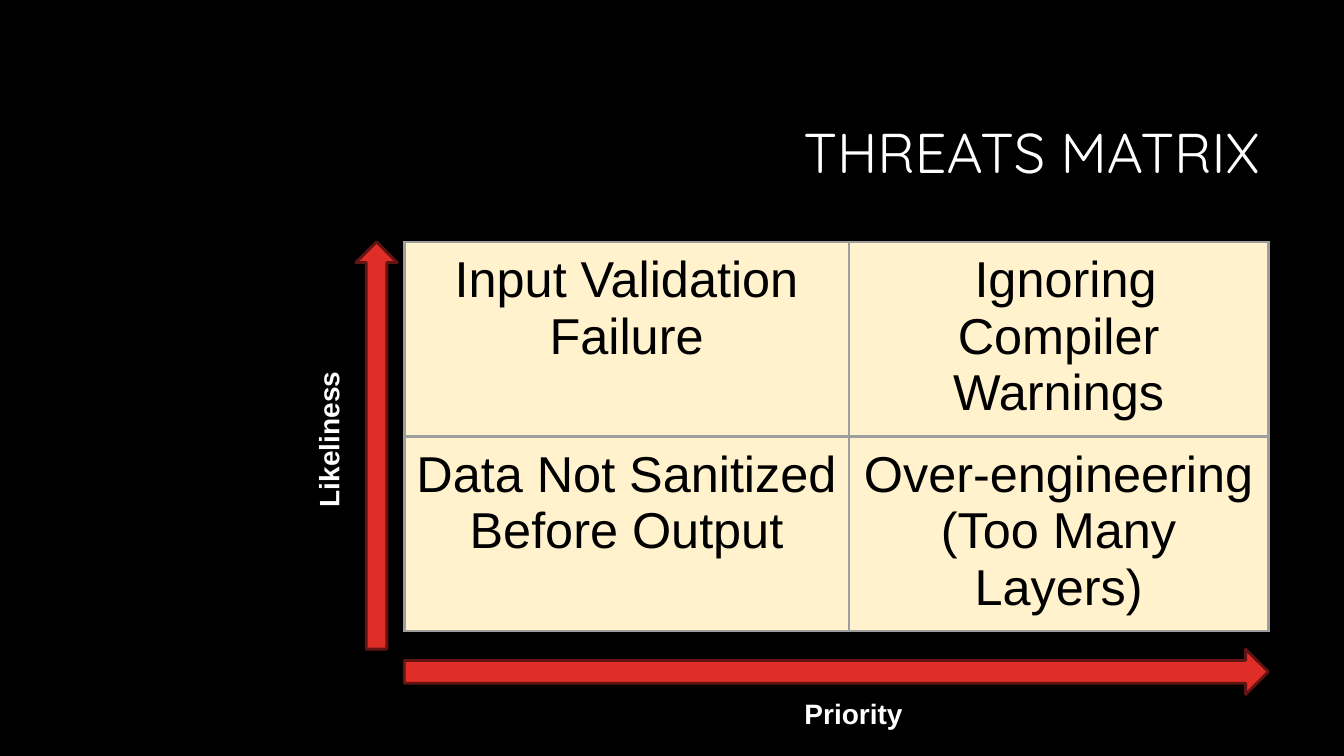
from dataclasses import dataclass

import pptx
import pptx.dml.color
import pptx.enum.shapes
import pptx.enum.text
import pptx.oxml
import pptx.oxml.ns
import pptx.util
from pptx.util import Inches

ALIGN = pptx.enum.text.PP_ALIGN
ANCHOR = pptx.enum.text.MSO_ANCHOR
SHAPE = pptx.enum.shapes.MSO_SHAPE

COLOURS = {
    "background": "000000",
    "light_text": "FFFFFF",
    "cell_text": "000000",
    "cell": "FFF2CC",
    "border": "9E9E9E",
    "arrow": "DF2E28",
    "arrow_edge": "621412",
}

MATRIX_LEFT, MATRIX_TOP = 4.01, 2.4
COLUMN_WIDTHS = (4.41, 4.16)
ROW_HEIGHT = 1.93
THREATS = (
    ("Input Validation Failure", " Ignoring Compiler Warnings"),
    ("Data Not Sanitized Before Output", "Over-engineering (Too Many Layers)"),
)


@dataclass(frozen=True)
class Area:
    left: float
    top: float
    width: float
    height: float

    def lengths(self) -> tuple:
        return tuple(Inches(v) for v in (self.left, self.top, self.width, self.height))


@dataclass(frozen=True)
class Label:
    text: str
    area: Area
    font: dict
    align: ALIGN = ALIGN.LEFT
    anchor: ANCHOR = ANCHOR.TOP
    spacing: float = 1.0
    wrap: bool = False
    rotation: int = 0


@dataclass(frozen=True)
class AxisArrow:
    kind: SHAPE
    area: Area


TITLE_FONT = {"name": "Quicksand", "size": pptx.util.Pt(40)}
CELL_FONT = {"name": "Arial", "size": pptx.util.Pt(36), "bold": False}
AXIS_FONT = {"name": "Arial", "size": pptx.util.Pt(20), "bold": True}

LABELS = (
    Label("THREATS MATRIX", Area(3.17, 0.84, 9.42, 1.41), TITLE_FONT,
          ALIGN.RIGHT, ANCHOR.MIDDLE, spacing=0.9, wrap=True),
    Label("Likeliness", Area(2.48, 4.13, 1.56, 0.44), AXIS_FONT, rotation=270),
    Label("Priority", Area(7.88, 6.86, 1.18, 0.44), AXIS_FONT),
)
ARROWS = (
    AxisArrow(SHAPE.RIGHT_ARROW, Area(MATRIX_LEFT, 6.44, sum(COLUMN_WIDTHS), 0.45)),
    AxisArrow(SHAPE.UP_ARROW, Area(3.53, MATRIX_TOP, 0.41, 4.04)),
)


def colour(name: str) -> pptx.dml.color.RGBColor:
    return pptx.dml.color.RGBColor.from_string(COLOURS[name])


def apply_format(target, values: dict) -> None:
    for name, value in values.items():
        setattr(target, name, value)


def paint(fill, name: str) -> None:
    fill.solid()
    fill.fore_color.rgb = colour(name)


def write(para, text: str, font: dict, colour_name: str) -> None:
    span = para.add_run()
    span.text = text
    apply_format(span.font, font)
    span.font.color.rgb = colour(colour_name)


def add_label(page, label: Label) -> None:
    box = page.shapes.add_textbox(*label.area.lengths())
    box.rotation = label.rotation
    apply_format(box.text_frame, {"word_wrap": label.wrap, "vertical_anchor": label.anchor})
    para = box.text_frame.paragraphs[0]
    apply_format(para, {"alignment": label.align, "line_spacing": label.spacing})
    write(para, label.text, label.font, "light_text")


def add_arrow(page, arrow: AxisArrow) -> None:
    shape = page.shapes.add_shape(arrow.kind, *arrow.area.lengths())
    shape.shadow.inherit = False
    paint(shape.fill, "arrow")
    paint(shape.line.fill, "arrow_edge")
    shape.line.width = pptx.util.Pt(2)


def add_borders(cell) -> None:
    """Outline all four sides; border elements must precede the cell's fill."""
    properties = cell._tc.get_or_add_tcPr()
    for index, side in enumerate(("lnL", "lnR", "lnT", "lnB")):
        properties.insert(index, pptx.oxml.parse_xml(
            f'<a:{side} {pptx.oxml.ns.nsdecls("a")} w="{pptx.util.Pt(2.25)}">'
            f'<a:solidFill><a:srgbClr val="{COLOURS["border"]}"/></a:solidFill></a:{side}>'))


def add_matrix(page) -> None:
    area = Area(MATRIX_LEFT, MATRIX_TOP, sum(COLUMN_WIDTHS), ROW_HEIGHT * len(THREATS))
    table = page.shapes.add_table(len(THREATS), len(COLUMN_WIDTHS), *area.lengths()).table
    apply_format(table, {"first_row": False, "horz_banding": False})
    for column, width in zip(table.columns, COLUMN_WIDTHS):
        column.width = Inches(width)
    margins = {f"margin_{side}": Inches(0.1) for side in ("left", "right", "top", "bottom")}
    for row, threats in zip(table.rows, THREATS):
        row.height = Inches(ROW_HEIGHT)
        for cell, threat in zip(row.cells, threats):
            apply_format(cell, margins)
            paint(cell.fill, "cell")
            add_borders(cell)
            para = cell.text_frame.paragraphs[0]
            para.alignment = ALIGN.CENTER
            write(para, threat, CELL_FONT, "cell_text")


def main() -> None:
    deck = pptx.Presentation()
    apply_format(deck, {"slide_width": Inches(13.33), "slide_height": Inches(7.5)})
    page = deck.slides.add_slide(deck.slide_layouts[6])
    paint(page.background.fill, "background")
    add_matrix(page)
    for arrow in ARROWS:
        add_arrow(page, arrow)
    for label in LABELS:
        add_label(page, label)
    deck.save("out.pptx")


if __name__ == "__main__":
    main()
